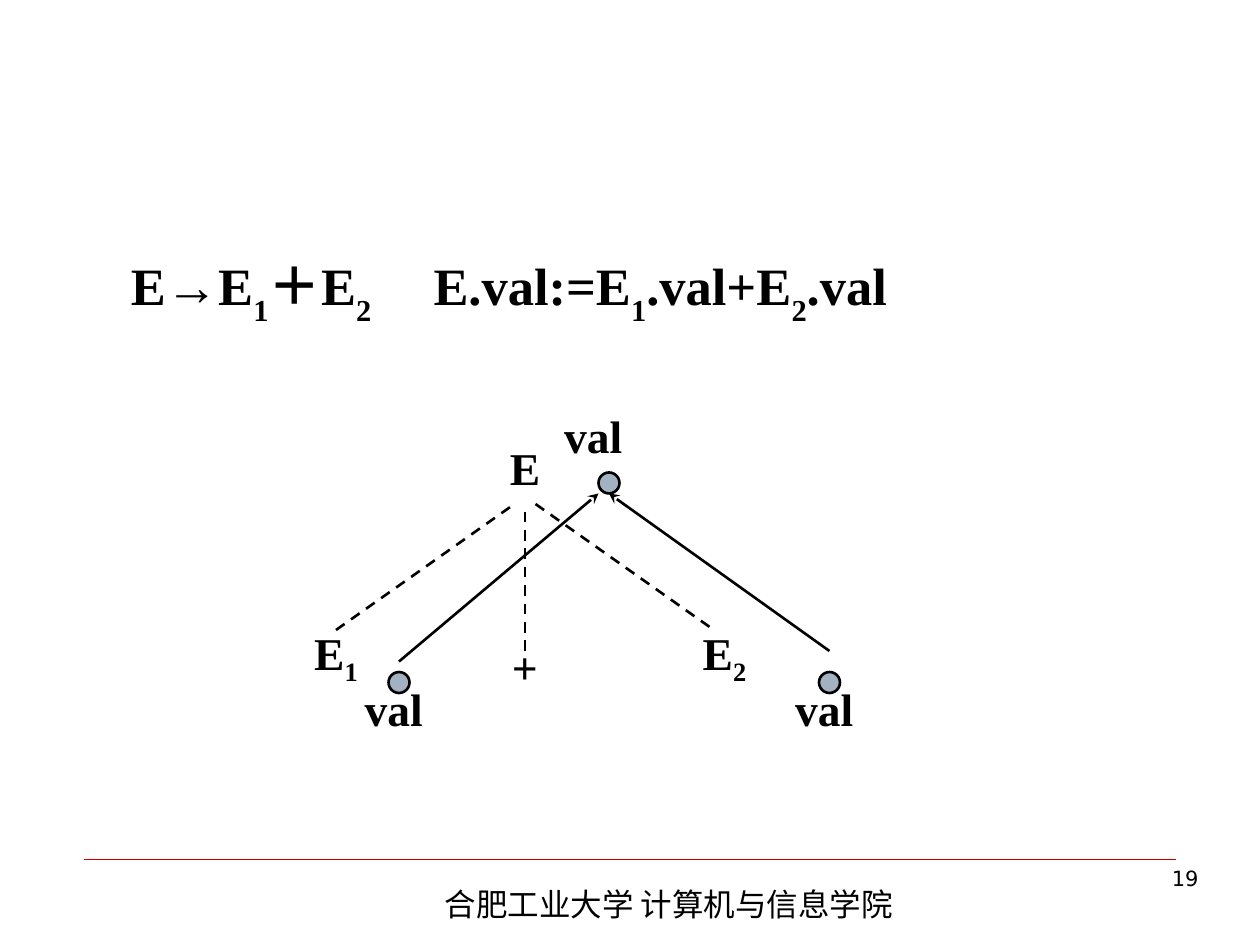
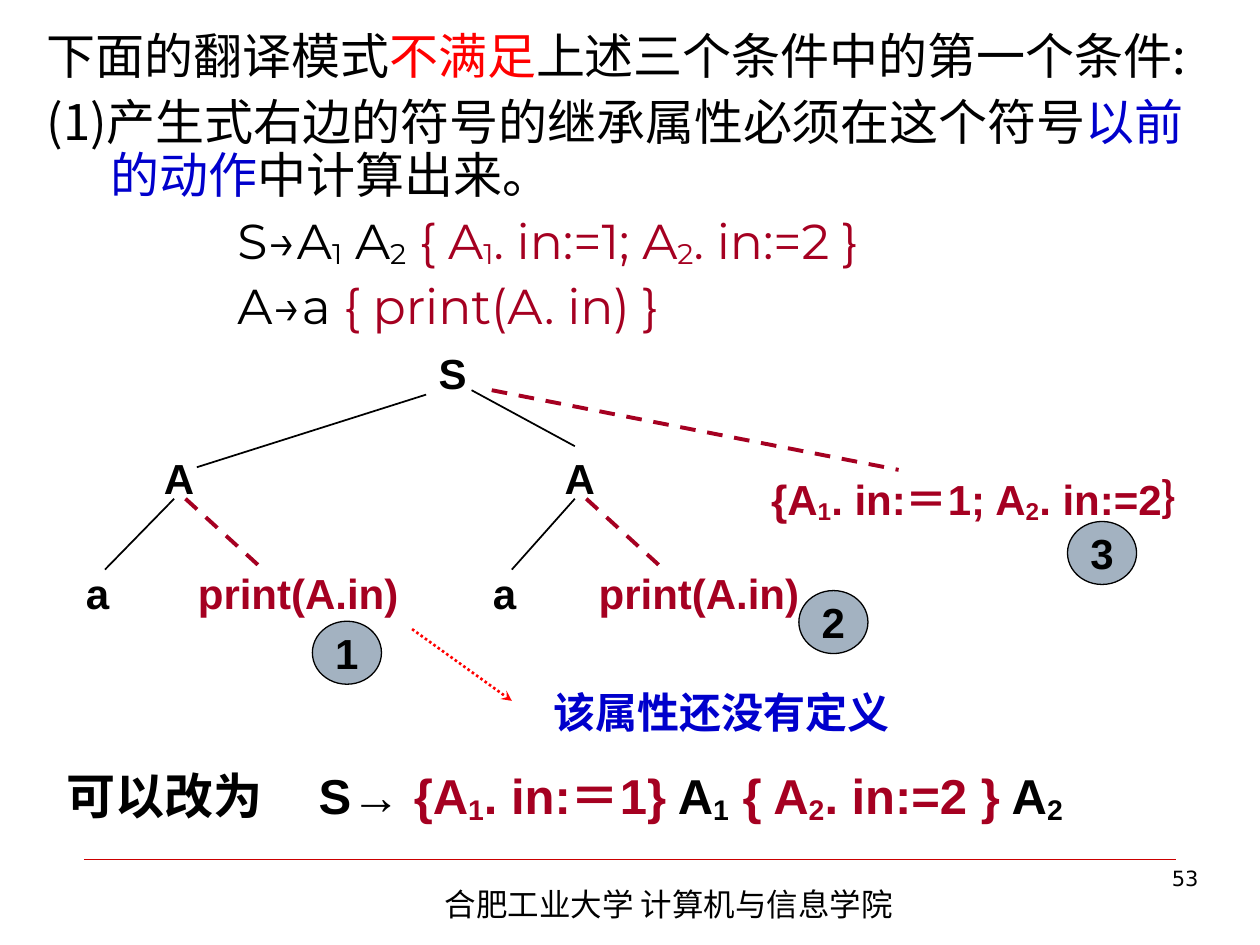
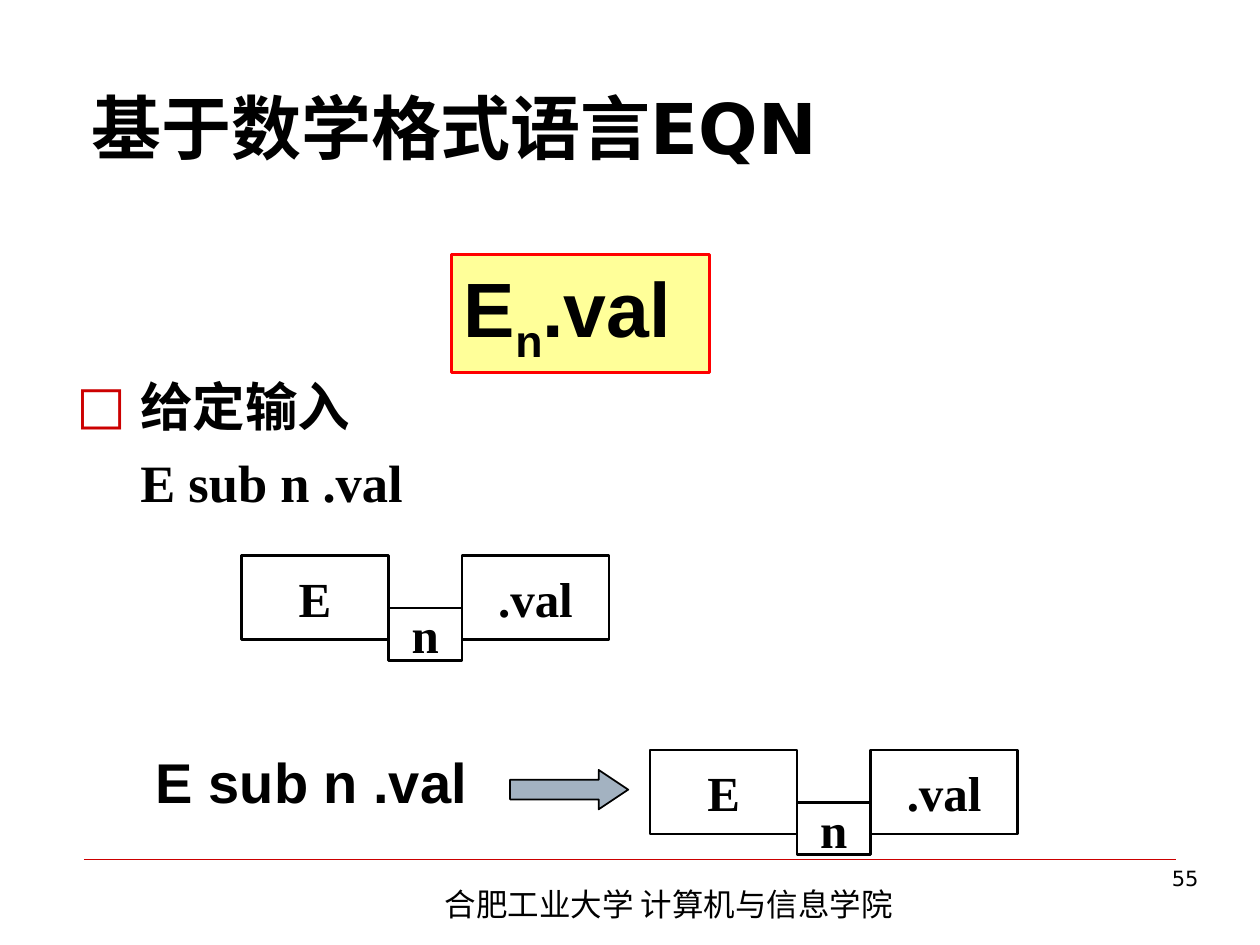
"""Build three compiler-course slides on attributes, translation schemes and EQN."""
from dataclasses import dataclass
from typing import NamedTuple, Optional

from lxml.etree import SubElement
from pptx import Presentation
from pptx.dml.color import RGBColor
from pptx.enum.dml import MSO_LINE
from pptx.enum.shapes import MSO_CONNECTOR, MSO_SHAPE
from pptx.enum.text import MSO_ANCHOR, MSO_AUTO_SIZE, PP_ALIGN
from pptx.oxml.ns import qn
from pptx.util import Pt

BLACK, RED, BLUE = "000000", "FF0000", "0000CC"
ACTION, ACCENT, STEEL, YELLOW = "A50021", "CC0000", "A3B2C1", "FFFF99"
SERIF, SANS, SCREEN, CJK = "Times New Roman", "Arial", "DejaVu Sans", "Noto Sans CJK SC"
FOOTER = "合肥工业大学 计算机与信息学院"


class Area(NamedTuple):
    left: float
    top: float
    width: float
    height: float


class Span(NamedTuple):
    text: str
    color: Optional[str] = None


@dataclass(frozen=True)
class Para:
    spans: tuple
    size: float
    font: str = SANS
    bold: bool = False
    color: str = BLACK
    drop: int = 25
    align: PP_ALIGN = PP_ALIGN.LEFT
    margin: float = 0
    indent: float = 0
    spacing: float = 1.0
    before: float = 0
    bullet: Optional[str] = None
    tab: Optional[float] = None


@dataclass(frozen=True)
class Edge:
    start: tuple
    end: tuple
    color: str = BLACK
    width: float = 1.5
    dash: Optional[MSO_LINE] = None
    arrow: bool = False


def rgb(value: str) -> RGBColor:
    return RGBColor.from_string(value)


def points(values) -> list:
    return [Pt(value) for value in values]


def add_run(paragraph, text: str, color: Optional[str], drop: int = 0) -> None:
    if not text:
        return
    run = paragraph.add_run()
    run.text = text
    if color:
        run.font.color.rgb = rgb(color)
    if drop:
        run._r.get_or_add_rPr().set("baseline", str(-drop * 1000))


def write_para(paragraph, para: Para) -> None:
    properties = paragraph._p.get_or_add_pPr()
    properties.set("marL", str(Pt(para.margin)))
    properties.set("indent", str(Pt(para.indent)))
    if para.bullet:
        color = SubElement(properties, qn("a:buClr"))
        SubElement(color, qn("a:srgbClr"), val=ACCENT)
        SubElement(properties, qn("a:buFont"), typeface=SCREEN)
        SubElement(properties, qn("a:buChar"), char=para.bullet)
    else:
        SubElement(properties, qn("a:buNone"))
    if para.tab:
        tabs = SubElement(properties, qn("a:tabLst"))
        SubElement(tabs, qn("a:tab"), pos=str(Pt(para.tab)), algn="l")
    paragraph.alignment = para.align
    paragraph.line_spacing = para.spacing
    paragraph.space_before = Pt(para.before)
    font = paragraph.font
    font.name, font.size, font.bold = para.font, Pt(para.size), para.bold
    font.color.rgb = rgb(para.color)
    SubElement(properties.find(qn("a:defRPr")), qn("a:ea"), typeface=CJK)
    for span in para.spans:
        head, *tails = span.text.split("_")
        add_run(paragraph, head, span.color)
        for tail in tails:
            add_run(paragraph, tail[0], span.color, para.drop)
            add_run(paragraph, tail[1:], span.color)


def write(box, *paras: Para, wrap: bool = True, anchor=MSO_ANCHOR.TOP) -> None:
    frame = box.text_frame
    frame.auto_size = MSO_AUTO_SIZE.NONE
    frame.word_wrap = wrap
    frame.vertical_anchor = anchor
    for index, para in enumerate(paras):
        write_para(frame.add_paragraph() if index else frame.paragraphs[0], para)


def place(box, area: Area) -> None:
    box.left, box.top, box.width, box.height = points(area)


def add_text(page, area: Area, para: Para, wrap: bool = True, anchor=MSO_ANCHOR.TOP):
    box = page.shapes.add_textbox(*points(area))
    write(box, para, wrap=wrap, anchor=anchor)
    return box


def add_block(page, kind, area: Area, fill: Optional[str], width: float, line: str = BLACK):
    block = page.shapes.add_shape(kind, *points(area))
    block.shadow.inherit = False
    if fill:
        block.fill.solid()
        block.fill.fore_color.rgb = rgb(fill)
    else:
        block.fill.background()
    block.line.color.rgb = rgb(line)
    block.line.width = Pt(width)
    return block


def add_edge(page, edge: Edge):
    connector = page.shapes.add_connector(
        MSO_CONNECTOR.STRAIGHT, *points(edge.start + edge.end))
    line = connector.line
    line.color.rgb = rgb(edge.color)
    line.width = Pt(edge.width)
    if edge.dash:
        line.dash_style = edge.dash
    if edge.arrow:
        SubElement(line._get_or_add_ln(), qn("a:tailEnd"), type="stealth")
    SubElement(connector._element.spPr, qn("a:effectLst"))
    return connector


def add_page(deck, number: int, body: Area, paras: tuple, title: Optional[Para] = None):
    page = deck.slides.add_slide(deck.slide_layouts[1])
    heading, content = page.placeholders[0], page.placeholders[1]
    add_edge(page, Edge((48, 491), (672, 491), ACCENT, 0.25))
    add_text(page, Area(247, 502, 374.5, 29), Para((Span(FOOTER),), 18, CJK))
    if title:
        place(heading, Area(45, 24, 630, 96))
        write(heading, title, anchor=MSO_ANCHOR.MIDDLE)
    else:
        heading._element.getparent().remove(heading._element)
    place(content, body)
    write(content, *paras)
    add_text(page, Area(535.5, 491, 156.5, 37.5),
             Para((Span(str(number)),), 12, SCREEN, align=PP_ALIGN.RIGHT))
    return page


def add_attribute_slide(deck) -> None:
    rule = Para((Span("E→E_1＋E_2\tE.val:=E_1.val+E_2.val"),), 30, SERIF, True, drop=30,
                align=PP_ALIGN.JUSTIFY, margin=36.5, indent=-29, spacing=0.8, tab=216)
    page = add_page(deck, 19, Area(60, 144, 630, 42), (rule,))

    def label(text: str, left: float, top: float, width: float):
        para = Para((Span(text),), 26, SERIF, True, align=PP_ALIGN.CENTER)
        return add_text(page, Area(left, top, width, 42), para, False, MSO_ANCHOR.MIDDLE)

    root = label("E", 228, 246, 144)
    for text, left, top, width in (("E_1", 102, 354, 180), ("+", 264, 360, 72),
                                   ("E_2", 324, 354, 180), ("val", 312, 228, 54),
                                   ("val", 198, 384, 54), ("val", 444, 384, 54)):
        label(text, left, top, width)
    add_edge(page, Edge((192, 360), (294, 288), dash=MSO_LINE.DASH))
    stem = add_edge(page, Edge((300, 372), (300, 288), dash=MSO_LINE.DASH))
    stem.end_connect(root, 2)
    add_edge(page, Edge((306, 288), (408, 360), dash=MSO_LINE.DASH))
    add_edge(page, Edge((228, 378), (342, 282), arrow=True))
    add_edge(page, Edge((474, 372), (348, 282), arrow=True))
    for left, top in ((222, 384), (468, 384), (342, 270)):
        add_block(page, MSO_SHAPE.OVAL, Area(left, top, 12, 12), STEEL, 1.5)


def add_translation_slide(deck) -> None:
    def statement(before: float, *spans: Span) -> Para:
        return Para(spans, 28, CJK, margin=36.5, indent=-36.5, spacing=0.9, before=before)

    def production(*spans: Span) -> Para:
        return Para(spans, 28, "Montserrat", drop=11, margin=109, spacing=0.9, before=7)

    page = add_page(deck, 53, Area(19.5, 15, 686, 181.5), (
        statement(0, Span("下面的翻译模式"), Span("不满足", RED),
                  Span("上述三个条件中的第一个条件:")),
        statement(7, Span("(1)产生式右边的符号的继承属性必须在这个符号"),
                  Span("以前的动作", BLUE), Span("中计算出来。")),
        production(Span("S→A_1 A_2 "), Span("{ A_1. in:=1; A_2. in:=2 }", ACTION)),
        production(Span("A→a "), Span("{ print(A. in) }", ACTION)),
    ))
    add_text(page, Area(31, 434, 658, 42), Para((
        Span("可以改为\tS→ "), Span("{A_1. in:＝1}", ACTION), Span(" A_1 "),
        Span("{ A_2. in:=2 }", ACTION), Span(" A_2"),
    ), 28, bold=True, drop=12, tab=163.5))

    labels = (("S", 243.5, 195, 39.5, BLACK),
              ("A", 86.5, 255, 46, BLACK), ("A", 315.5, 255, 39.5, BLACK),
              ("a", 42, 321, 46, BLACK), ("a", 274.5, 321, 46, BLACK),
              ("print(A.in)", 106, 321, 131, ACTION),
              ("print(A.in)", 335, 321, 131, ACTION),
              ("{A_1. in:＝1; A_2. in:=2｝", 433.5, 267, 286.5, ACTION),
              ("该属性还没有定义", 309, 389, 312, BLUE))
    for text, left, top, width, color in labels:
        add_text(page, Area(left, top, width, 36),
                 Para((Span(text),), 24, bold=True, color=color, drop=11))

    for start, end in (((243.5, 225.5), (112.5, 267)), ((269.5, 223), (328.5, 255)),
                       ((99.5, 285), (60, 325.5)), ((328.5, 285), (292.5, 325.5))):
        add_edge(page, Edge(start, end, width=1))
    for start, end in (((106, 285), (152, 327)), ((335, 285), (381, 327)),
                       ((281, 223), (513.5, 268.5))):
        add_edge(page, Edge(start, end, ACTION, 2.25, MSO_LINE.DASH))
    add_edge(page, Edge((235.5, 359.5), (292.5, 400.5), RED,
                        dash=MSO_LINE.ROUND_DOT, arrow=True))

    for step, (left, top) in enumerate(((178.5, 355), (456.5, 337.5), (610, 298)), 1):
        badge = add_block(page, MSO_SHAPE.OVAL, Area(left, top, 39.5, 36), STEEL, 0.75)
        write(badge, Para((Span(str(step)),), 24, bold=True, align=PP_ALIGN.CENTER),
              wrap=False, anchor=MSO_ANCHOR.MIDDLE)


def add_layout_boxes(page, left: float, top: float) -> None:
    for text, across, down, width, height in (("E", 0, 0, 84, 48), ("n", 84, 30, 42, 30),
                                              (".val", 126, 0, 84, 48)):
        cell = add_block(page, MSO_SHAPE.RECTANGLE,
                         Area(left + across, top + down, width, height), None, 1.5)
        write(cell, Para((Span(text),), 28, SERIF, True, align=PP_ALIGN.CENTER),
              wrap=False, anchor=MSO_ANCHOR.MIDDLE)


def add_eqn_slide(deck) -> None:
    page = add_page(deck, 55, Area(36.5, 210, 648, 91), (
        Para((Span("给定输入"),), 30, SERIF, True, margin=36.5, indent=-36.5, bullet="□"),
        Para((Span("E sub n .val"),), 30, SERIF, True, margin=36.5, before=7.5),
    ), Para((Span("基于数学格式语言EQN"),), 40, SCREEN, True))
    add_layout_boxes(page, 138, 317.5)
    formula = add_block(page, MSO_SHAPE.RECTANGLE, Area(258, 145.5, 147.5, 67.5),
                        YELLOW, 2, RED)
    write(formula, Para((Span("E_n.val"),), 44, bold=True))
    add_layout_boxes(page, 371.5, 428.5)
    add_text(page, Area(82, 423.5, 192, 46),
             Para((Span("E sub n .val"),), 32, bold=True), wrap=False)
    arrow = add_block(page, MSO_SHAPE.RIGHT_ARROW, Area(291.5, 440, 67.5, 22.5), STEEL, 1)
    arrow.adjustments[1] = 0.75


def main() -> None:
    deck = Presentation()
    deck.slide_width, deck.slide_height = Pt(720), Pt(540)
    add_attribute_slide(deck)
    add_translation_slide(deck)
    add_eqn_slide(deck)
    deck.save("out.pptx")


if __name__ == "__main__":
    main()
